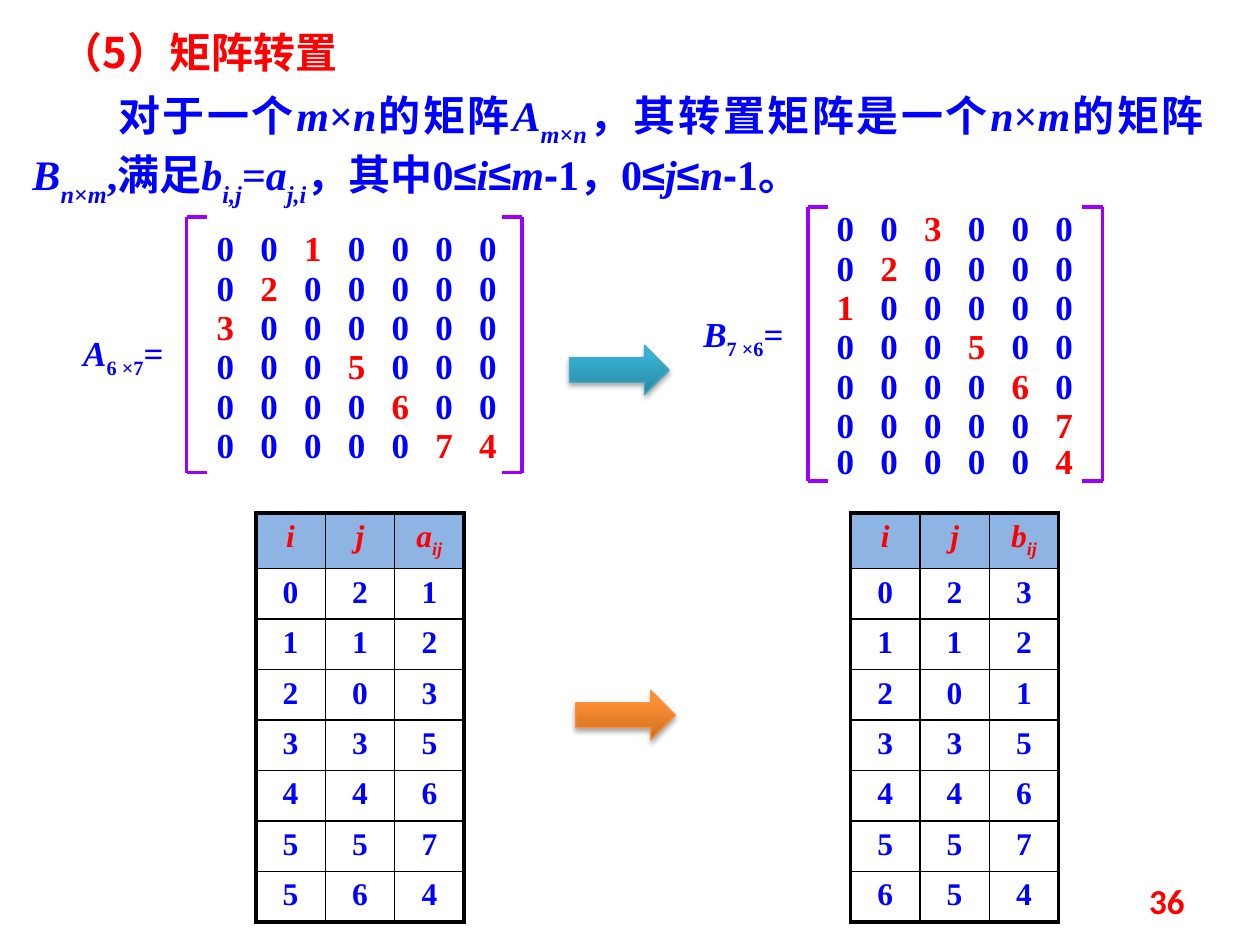
import pptx
import pptx.dml.color
import pptx.enum.shapes
import pptx.enum.text
import pptx.oxml
import pptx.oxml.ns
import pptx.util
from copy import deepcopy

Pt = pptx.util.Pt
ALIGN = pptx.enum.text.PP_ALIGN
ANCHOR = pptx.enum.text.MSO_ANCHOR
BLUE, RED, PURPLE, BLACK, HEADER = "0000FF", "FF0000", "9900FF", "000000", "8EB4E3"
SERIF, CJK, SANS = "Times New Roman", "Noto Sans CJK SC", "Arial"
DIGIT_STEP = 25


def color(value):
    return pptx.dml.color.RGBColor.from_string(value)


def element(tag, parent=None, **attributes):
    """Make a DrawingML element, appended to the parent if one is given."""
    node = pptx.oxml.parse_xml(f"<a:{tag} {pptx.oxml.ns.nsdecls('a')}/>")
    for name, value in attributes.items():
        node.set(name, str(value))
    if parent is not None:
        parent.append(node)
    return node


class Board:
    def __init__(self, page):
        self.page = page
        self.shapes = page.shapes

    def start_group(self):
        self.shapes = self.page.shapes.add_group_shape().shapes

    def end_group(self):
        self.shapes = self.page.shapes

    def runs(self, para, parts, size, base=-25, font=SERIF):
        """Add (text, marks, colour) runs; marks: i italic, s subscript, a Arial."""
        for text, marks, ink in parts:
            span = para.add_run()
            span.text = text
            span.font.size = Pt(size)
            span.font.bold = True
            span.font.italic = "i" in marks
            span.font.name = SANS if "a" in marks else font
            span.font.color.rgb = color(ink)
            properties = span.font._element
            if "s" in marks:
                properties.set("baseline", str(base * 1000))
            properties.find(pptx.oxml.ns.qn("a:latin")).addnext(
                element("ea", typeface=CJK))

    def text(self, at, parts, size, align=ALIGN.LEFT, indent=0, tabs=(), inset=True,
             anchor=ANCHOR.TOP, **style):
        box = self.shapes.add_textbox(*map(Pt, at))
        frame = box.text_frame
        frame.word_wrap = True
        frame.vertical_anchor = anchor
        if not inset:
            frame.margin_left = frame.margin_right = 0
            frame.margin_top = frame.margin_bottom = 0
        para = frame.paragraphs[0]
        para.alignment = align
        properties = para._p.get_or_add_pPr()
        if indent:
            properties.set("indent", str(Pt(indent)))
        if tabs:
            stops = element("tabLst", properties)
            for position in tabs:
                element("tab", stops, pos=Pt(position), algn="l")
        self.runs(para, parts, size, **style)

    def line(self, x1, y1, x2, y2):
        line = self.shapes.add_connector(
            pptx.enum.shapes.MSO_CONNECTOR.STRAIGHT, *map(Pt, (x1, y1, x2, y2)))
        line.line.color.rgb = color(PURPLE)
        line.line.width = Pt(2.25)
        element("effectLst", line._element.spPr)

    def brackets(self, left, top, right, bottom, tick=11.5):
        for side, inner in ((left, left + tick), (right, right - tick)):
            self.line(side, top, side, bottom)
            for y in (top, bottom):
                self.line(side, y, inner, y)

    def matrix(self, left, row_tops, columns, entries):
        """Write a sparse matrix, one tabbed text row per line, nonzeros in red."""
        values = {(i, j): value for i, j, value in entries}
        tabs = [DIGIT_STEP * k for k in range(1, columns)]
        for i, top in enumerate(row_tops):
            parts = []
            for j in range(columns):
                ink = RED if (i, j) in values else BLUE
                gap = "\t" if j else ""
                parts.append((f"{gap}{values.get((i, j), 0)}", "", ink))
            self.text((left, top, 28 * (columns - 1), 24.5), parts, 20,
                      tabs=tabs, inset=False)

    def arrow(self, left, top, stops, edge):
        arrow = self.shapes.add_shape(pptx.enum.shapes.MSO_SHAPE.RIGHT_ARROW,
                                      *map(Pt, (left, top, 57, 28.3)))
        arrow.shadow.inherit = False
        arrow.fill.gradient()
        arrow.fill.gradient_angle = 90
        properties = arrow._element.spPr
        stop_list = properties.find(".//" + pptx.oxml.ns.qn("a:gsLst"))
        stop_list.append(deepcopy(stop_list[-1]))
        for stop, (position, ink) in zip(arrow.fill.gradient_stops, stops):
            stop.position = position
            stop.color.rgb = color(ink)
        arrow.line.color.rgb = color(edge)
        arrow.line.width = Pt(0.75)
        effects = properties.find(pptx.oxml.ns.qn("a:effectLst"))
        shadow = element("outerShdw", effects, blurRad=Pt(3.1), dist=Pt(1.8),
                         dir=5400000, rotWithShape=0)
        element("alpha", element("srgbClr", shadow, val=BLACK), val=35000)

    def cell_borders(self, cell, widths):
        properties = cell._tc.get_or_add_tcPr()
        for place, (side, width) in enumerate(zip("LRTB", widths)):
            border = element(f"ln{side}", w=Pt(width))
            element("srgbClr", element("solidFill", border), val=BLACK)
            properties.insert(place, border)

    def triples(self, left, name, entries):
        """Draw the (i, j, value) table of a sparse matrix."""
        head = [[("i", "i", RED)], [("j", "i", RED)],
                [(name, "i", RED), ("ij", "is", RED)]]
        rows = [head] + [[[(str(n), "", BLUE)] for n in entry] for entry in entries]
        heights = [31.4] + [28.8] * len(entries)
        frame = self.shapes.add_table(len(rows), 3, Pt(left), Pt(293.2),
                                      Pt(119), Pt(sum(heights)))
        table = frame.table
        table.first_row = table.horz_banding = False
        for column in table.columns:
            column.width = Pt(119 / 3)
        for r, row in enumerate(rows):
            table.rows[r].height = Pt(heights[r])
            for c, parts in enumerate(row):
                cell = table.cell(r, c)
                if r == 0:
                    cell.fill.solid()
                    cell.fill.fore_color.rgb = color(HEADER)
                else:
                    cell.fill.background()
                outer = (c == 0, c == 2, r == 0, r == len(rows) - 1)
                self.cell_borders(cell, [2.25 if edge else 1 for edge in outer])
                para = cell.text_frame.paragraphs[0]
                para.alignment = ALIGN.CENTER
                self.runs(para, parts, 18)


def main():
    deck = pptx.Presentation()
    deck.slide_width, deck.slide_height = Pt(720), Pt(540)
    board = Board(deck.slides.add_slide(deck.slide_layouts[6]))

    definition = [
        ("对于一个", ""), ("m", "i"), ("×", ""), ("n", "i"), ("的矩阵", ""), ("A", "i"),
        ("m", "is"), ("×", "s"), ("n", "is"), ("，其转置矩阵是一个", ""), ("n", "i"),
        ("×", ""), ("m", "i"), ("的矩阵", ""), ("B", "i"), ("n", "is"), ("×", "s"),
        ("m", "is"), (",满足", ""), ("b", "i"), ("i,j", "is"), ("=", ""), ("a", "i"),
        ("j,i", "is"), ("，其中0", ""), ("≤", "a"), ("i", "i"), ("≤", "a"), ("m", "i"),
        ("-", "a"), ("1，0", ""), ("≤", "a"), ("j", "i"), ("≤", "a"), ("n", "i"),
        ("-", "a"), ("1。", "")]
    board.text((11.5, 47.5, 683.5, 65.5), [(*part, BLUE) for part in definition], 24,
               align=ALIGN.JUSTIFY, indent=49, base=-30)
    board.text((22.3, 11.5, 199, 36), [("（5）矩阵转置", "", RED)], 24,
               align=ALIGN.JUSTIFY, indent=5.4, font=CJK)

    source = [(0, 2, 1), (1, 1, 2), (2, 0, 3), (3, 3, 5), (4, 4, 6), (5, 5, 7), (5, 6, 4)]
    transposed = sorted((j, i, value) for i, j, value in source)
    source_tops = [129.6 + 22.5 * k for k in range(6)]
    transposed_tops = [118.2 + 22.5 * k for k in range(6)] + [251.3]
    matrices = [
        ("A", "6 ×7", (33.8, 185.8), 123.8, source_tops, 7, source,
         (106.6, 124, 298.1, 270), 146.2, "a"),
        ("B", "7 ×6", (388.1, 175), 478.1, transposed_tops, 6, transposed,
         (461.5, 118.3, 630, 275), 486, "b")]
    for name, order, label, left, tops, columns, entries, edges, table_left, item in matrices:
        board.start_group()
        board.text((*label, 73.5, 31.7),
                   [(name, "i", BLUE), (order, "s", BLUE), ("=", "", BLUE)], 20,
                   align=ALIGN.CENTER)
        board.matrix(left, tops, columns, entries)
        board.brackets(*edges)
        board.end_group()
        board.triples(table_left, item, entries)

    board.arrow(325.4, 197.3, [(0, "2A88A2"), (0.8, "37B1D2"), (1, "34B4D6")], "46AAC5")
    board.arrow(329, 394.6, [(0, "CC6E20"), (0.8, "FF9034"), (1, "FF9136")], "F69240")
    board.text((516.2, 500.4, 167.8, 28.8), [("36", "", RED)], 20,
               align=ALIGN.RIGHT, anchor=ANCHOR.MIDDLE, font="Calibri")
    deck.save("out.pptx")


if __name__ == "__main__":
    main()
